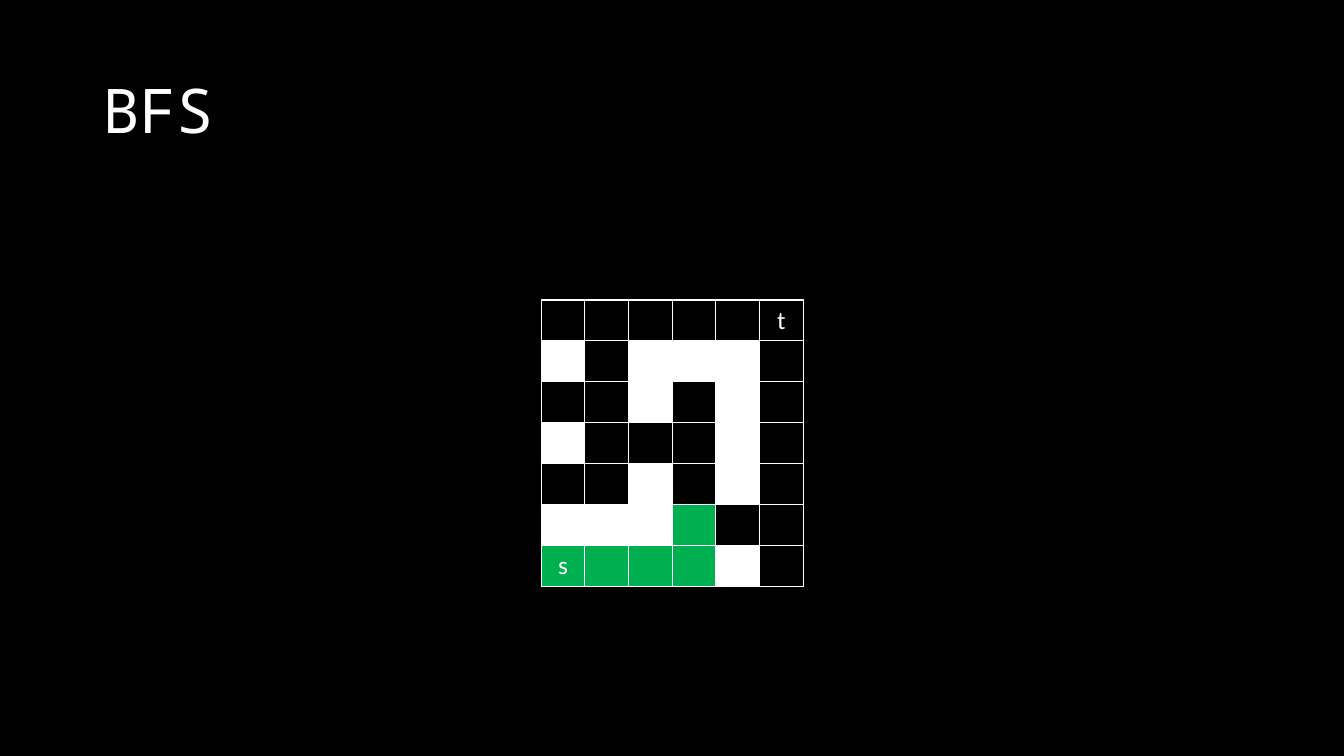
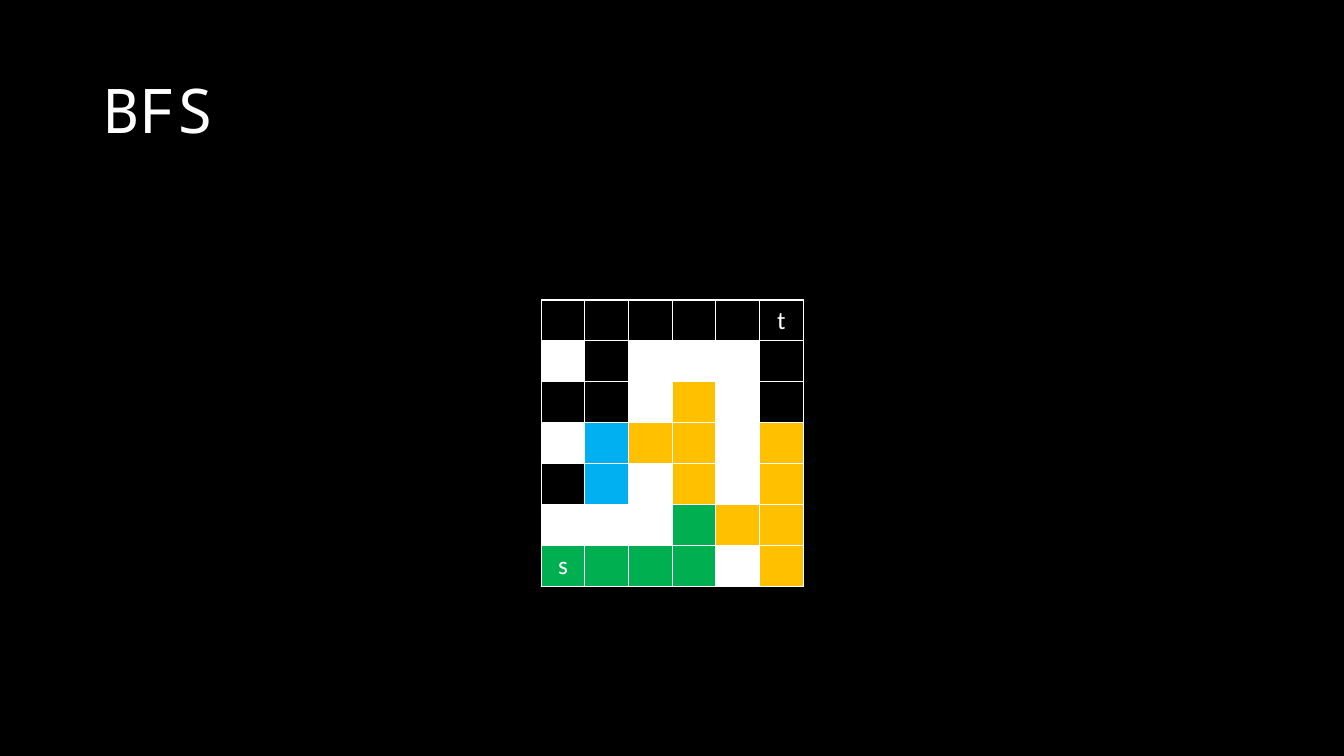
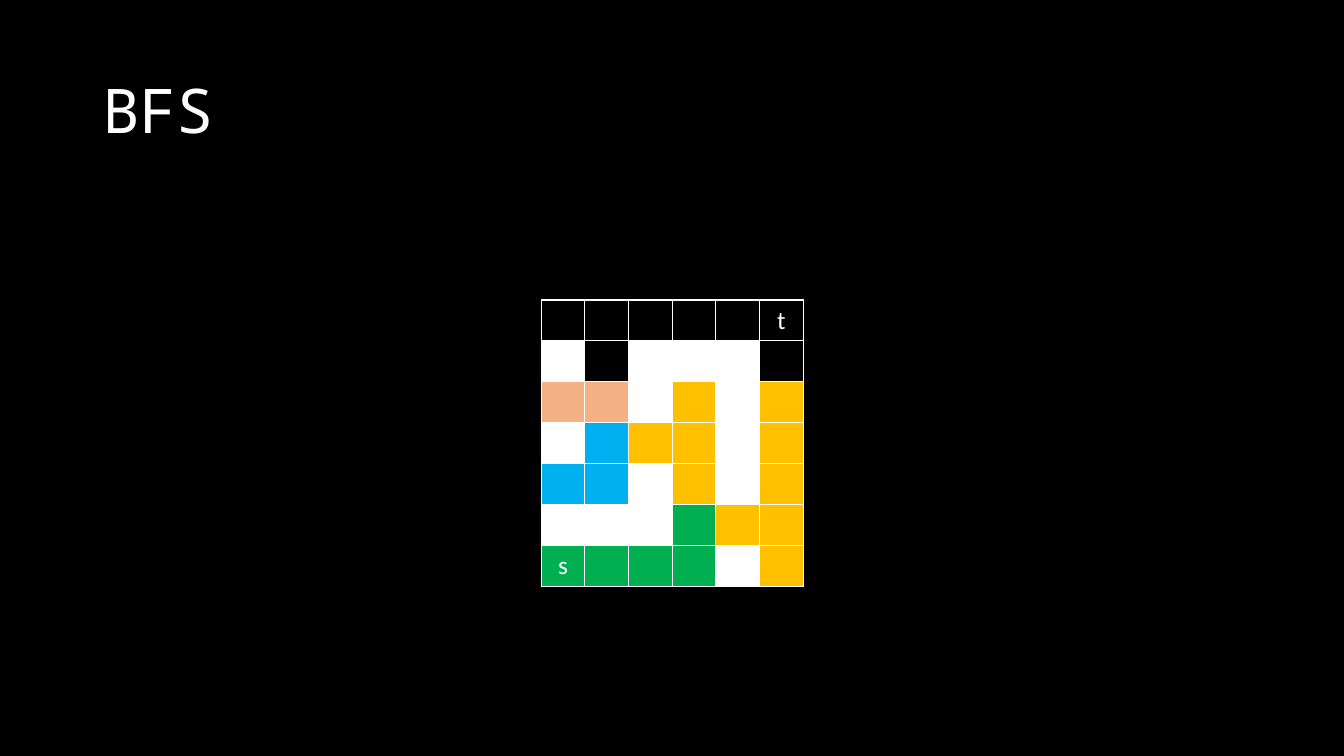
"""Build three slides that show a breadth-first search spreading through a maze."""
from dataclasses import dataclass

from lxml import etree
from pptx import Presentation
from pptx import util as u
from pptx.dml.color import RGBColor
from pptx.enum import text
from pptx.oxml import ns

HUES = {
    "ground": "000000",
    "wall": "FFFFFF",
    "ink": "FFFFFF",
    "green": "00B050",
    "gold": "FFC000",
    "blue": "00B0F0",
    "peach": "F4B183",
}
MAZE = (
    ".....t",
    "#.###.",
    "..#.#.",
    "#...#.",
    "..#.#.",
    "###...",
    "s...#.",
)
HEAD = {"name": "Noto Sans Mono", "size": u.Pt(44)}
MARK = {"name": "Calibri", "size": u.Pt(18)}
WIDE, HIGH = u.Cm(1.1), u.Cm(1.03)


@dataclass(frozen=True)
class Wave:
    """Cells, as row and column, that one colour reaches."""
    hue: str
    cells: tuple[tuple[int, int], ...]


STEPS = (
    (Wave("green", ((6, 0), (6, 1), (6, 2), (6, 3), (5, 3))),),
    (
        Wave("gold", ((2, 3), (3, 2), (3, 3), (4, 3), (5, 4),
                      (3, 5), (4, 5), (5, 5), (6, 5))),
        Wave("blue", ((3, 1), (4, 1))),
    ),
    (
        Wave("gold", ((2, 5),)),
        Wave("blue", ((4, 0),)),
        Wave("peach", ((2, 0), (2, 1))),
    ),
)


def tint(hue: str) -> RGBColor:
    """Return the named colour."""
    return RGBColor.from_string(HUES[hue])


def write(par, words: str, style: dict) -> None:
    """Add one styled run to a paragraph."""
    run = par.add_run()
    run.text = words
    for key, value in style.items():
        setattr(run.font, key, value)
    run.font.color.rgb = tint("ink")


def title(slide, words: str) -> None:
    """Draw the slide title."""
    box = slide.shapes.add_textbox(u.Cm(2.33), u.Cm(1.01), u.Cm(29.21), u.Cm(3.68))
    frame = box.text_frame
    frame.word_wrap = True
    frame.vertical_anchor = text.MSO_ANCHOR.MIDDLE
    par = frame.paragraphs[0]
    par.line_spacing = 0.9
    write(par, words, HEAD)


def edge(cell) -> None:
    """Rule all four sides of a cell."""
    props = cell._tc.get_or_add_tcPr()
    for side in ("a:lnL", "a:lnR", "a:lnT", "a:lnB"):
        line = etree.SubElement(props, ns.qn(side), w=str(u.Pt(1)))
        fill = etree.SubElement(line, ns.qn("a:solidFill"))
        etree.SubElement(fill, ns.qn("a:srgbClr"), val=HUES["wall"])


def board(slide, hues: dict[tuple[int, int], str]) -> None:
    """Draw the maze as a table with the given cells filled."""
    rows, cols = len(MAZE), len(MAZE[0])
    table = slide.shapes.add_table(
        rows, cols, u.Cm(13.64), u.Cm(7.56), WIDE * cols, HIGH * rows).table
    table.first_row = table.horz_banding = False
    for col in table.columns:
        col.width = WIDE
    for row in table.rows:
        row.height = HIGH
    for r, line in enumerate(MAZE):
        for c, sign in enumerate(line):
            cell = table.cell(r, c)
            edge(cell)
            if (r, c) in hues:
                cell.fill.solid()
                cell.fill.fore_color.rgb = tint(hues[r, c])
            else:
                cell.fill.background()
            if sign.isalpha():
                par = cell.text_frame.paragraphs[0]
                par.alignment = text.PP_ALIGN.CENTER
                write(par, sign, MARK)


def main() -> None:
    """Build and save the deck."""
    deck = Presentation()
    deck.slide_width, deck.slide_height = u.Cm(33.87), u.Cm(19.05)
    back = deck.slide_master.background.fill
    back.solid()
    back.fore_color.rgb = tint("ground")
    hues = {(r, c): "wall" for r, line in enumerate(MAZE)
            for c, sign in enumerate(line) if sign == "#"}
    for step in STEPS:
        hues.update((spot, wave.hue) for wave in step for spot in wave.cells)
        slide = deck.slides.add_slide(deck.slide_layouts[6])
        title(slide, "BFS")
        board(slide, hues)
    deck.save("out.pptx")


if __name__ == "__main__":
    main()
